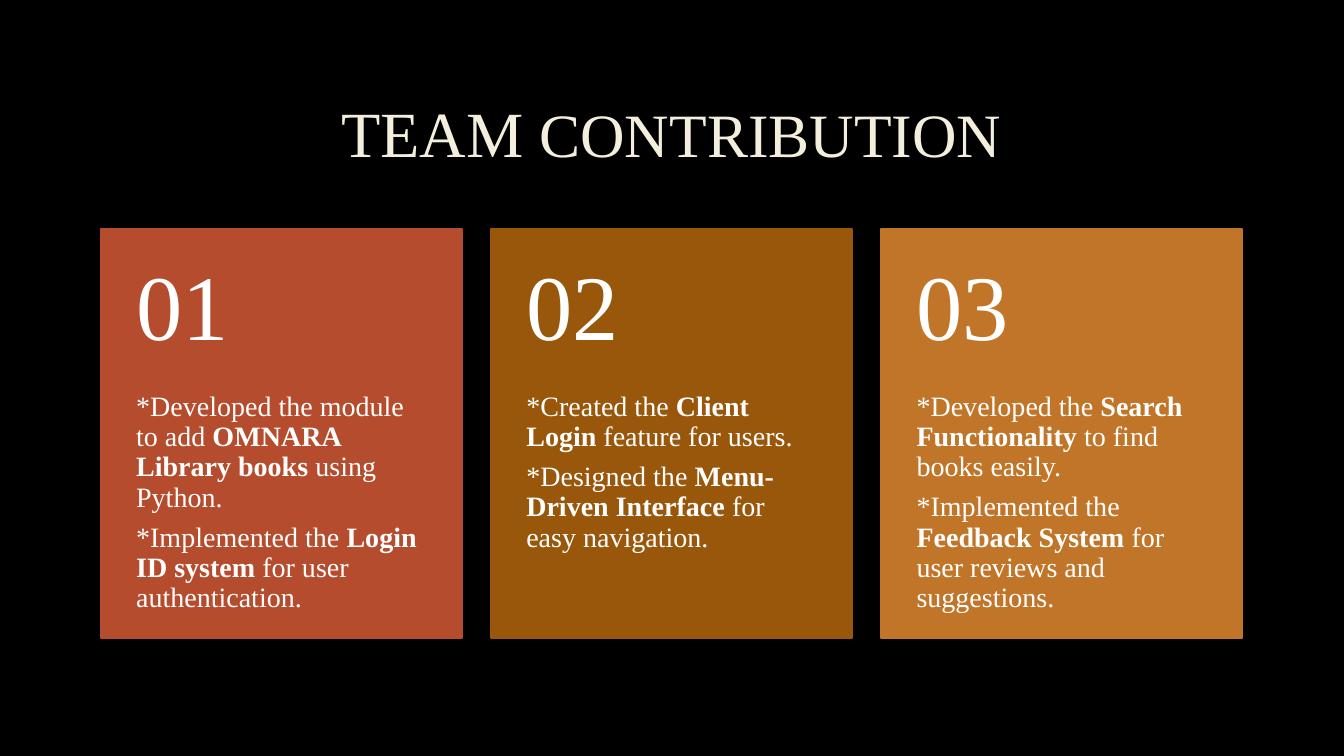
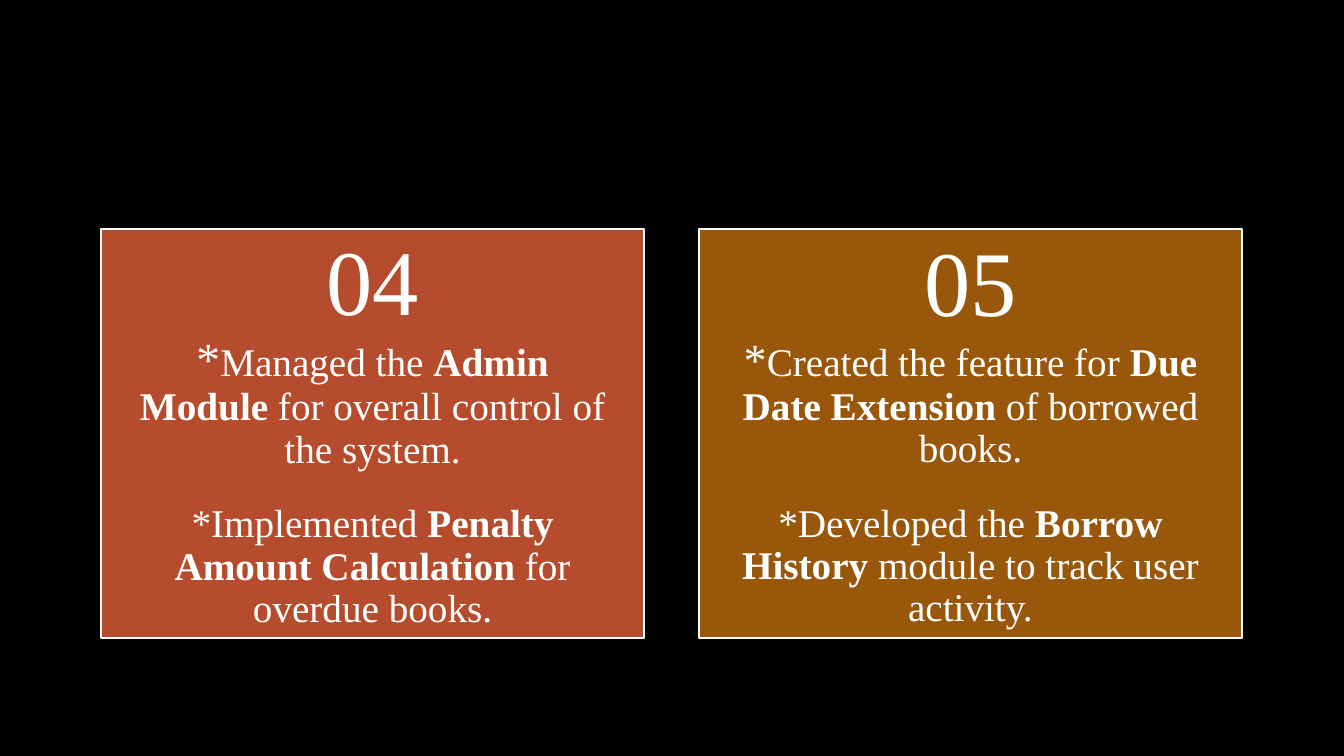
from dataclasses import dataclass

from pptx import Presentation
from pptx.dml.color import RGBColor
from pptx.enum.shapes import MSO_SHAPE as Kind
from pptx.enum.text import MSO_ANCHOR as Anchor, MSO_AUTO_SIZE as Fit, PP_ALIGN as Align
from pptx.util import Inches, Pt

# Shared look
FONT = "Times New Roman"
BLACK, WHITE, CREAM = "000000", "FFFFFF", "F4EEDC"
RUST, BROWN, AMBER = "B54C2D", "99570C", "C17529"
LEFT, RIGHT, TOP, TALL = 1, 12.32, 2.27, 4.06
HEAD = 1.62  # height of the number area on a small card


@dataclass
class Card:
    num: str
    fill: str
    notes: list[str]  # bold parts stand between bars
    star: int = 0     # size of the first asterisk


TRIO = [
    Card("01", RUST, ["*Developed the module to add |OMNARA Library books| using Python.",
                      "*Implemented the |Login ID system| for user authentication."]),
    Card("02", BROWN, ["*Created the |Client Login| feature for users.",
                       "*Designed the |Menu-Driven Interface| for easy navigation."]),
    Card("03", AMBER, ["*Developed the |Search Functionality| to find books easily.",
                       "*Implemented the |Feedback System| for user reviews and suggestions."]),
]
PAIR = [
    Card("04", RUST, ["Managed the |Admin Module| for overall control of the system.",
                      "*Implemented |Penalty Amount Calculation| for overdue books."], 34),
    Card("05", BROWN, ["Created the feature for |Due Date Extension| of borrowed books.",
                       "*Developed the |Borrow History| module to track user activity."], 33),
]


def tint(code: str) -> RGBColor:
    return RGBColor.from_string(code)


def style(para, size: float, color: str = WHITE, align=Align.LEFT) -> None:
    para.alignment = align
    para.line_spacing = 0.9
    para.space_before = Pt(0)
    font = para.font
    font.name, font.size = FONT, Pt(size)
    font.color.rgb = tint(color)


def add_run(para, text: str, size: float = 0, bold: bool = False) -> None:
    run = para.add_run()
    run.text = text
    if size:
        run.font.size = Pt(size)
    if bold:
        run.font.bold = True


def add_note(para, note: str) -> None:
    for i, part in enumerate(note.split("|")):
        add_run(para, part, bold=i % 2 == 1)


def set_frame(shape, pads: tuple, anchor):
    frame = shape.text_frame
    frame.word_wrap, frame.auto_size = True, Fit.NONE
    frame.vertical_anchor = anchor
    (frame.margin_left, frame.margin_top,
     frame.margin_right, frame.margin_bottom) = map(Inches, pads)
    return frame


def add_panel(slide, x: float, wide: float, fill: str, line: str):
    box = slide.shapes.add_shape(Kind.RECTANGLE, *map(Inches, (x, TOP, wide, TALL)))
    box.shadow.inherit = False
    box.fill.solid()
    box.fill.fore_color.rgb = tint(fill)
    box.line.color.rgb = tint(line)
    box.line.width = Pt(1.25)
    return box


def add_text(slide, at: tuple, pads: tuple, anchor):
    return set_frame(slide.shapes.add_textbox(*map(Inches, at)), pads, anchor)


def add_small(slide, card: Card, x: float, wide: float) -> None:
    """Number above, left-aligned notes below."""
    add_panel(slide, x, wide, card.fill, card.fill)
    body = add_text(slide, (x, TOP + HEAD, wide, TALL - HEAD), (0.35, 0, 0.35, 0.36), Anchor.TOP)
    for i, note in enumerate(card.notes):
        para = body.add_paragraph() if i else body.paragraphs[0]
        style(para, 20)
        para.space_after = Pt(7)
        add_note(para, note)
    head = add_text(slide, (x, TOP, wide, HEAD), (0.35, 0.18, 0.35, 0.18), Anchor.MIDDLE)
    style(head.paragraphs[0], 66)
    add_run(head.paragraphs[0], card.num)


def add_large(slide, card: Card, x: float, wide: float) -> None:
    """Number and notes centred in one outlined panel."""
    frame = set_frame(add_panel(slide, x, wide, card.fill, WHITE), (0.28,) * 4, Anchor.MIDDLE)
    for i, note in enumerate(card.notes):
        para = frame.add_paragraph() if i else frame.paragraphs[0]
        style(para, 28, align=Align.CENTER)
        if i == 0:
            para.space_after = Pt(23)
            add_run(para, card.num, 66)
            para.add_line_break()
            add_run(para, "*", card.star)
        add_note(para, note)


def add_row(slide, cards: list[Card], wide: float, draw) -> None:
    step = (RIGHT - LEFT - wide) / (len(cards) - 1)
    for i, card in enumerate(cards):
        draw(slide, card, LEFT + i * step, wide)


def add_title(slide, parts: list[tuple[str, float]]) -> None:
    title = slide.shapes.title
    title.left, title.top, title.width, title.height = map(Inches, (1, 0.67, 11.32, 1.38))
    para = set_frame(title, (0.1, 0.05, 0.1, 0.05), Anchor.MIDDLE).paragraphs[0]
    style(para, 44, CREAM, Align.CENTER)
    for text, size in parts:
        add_run(para, text, size)


def main() -> None:
    deck = Presentation()
    deck.slide_width, deck.slide_height = Inches(13.33), Inches(7.5)
    back = deck.slide_master.background.fill
    back.solid()
    back.fore_color.rgb = tint(BLACK)

    # Slide 1: title and three cards
    first = deck.slides.add_slide(deck.slide_layouts.get_by_name("Title Only"))
    add_title(first, [("TEAM ", 46), ("CONTRIBUTION", 44)])
    add_row(first, TRIO, 3.58, add_small)

    # Slide 2: two cards
    second = deck.slides.add_slide(deck.slide_layouts.get_by_name("Blank"))
    add_row(second, PAIR, 5.39, add_large)

    deck.save("out.pptx")


if __name__ == "__main__":
    main()
